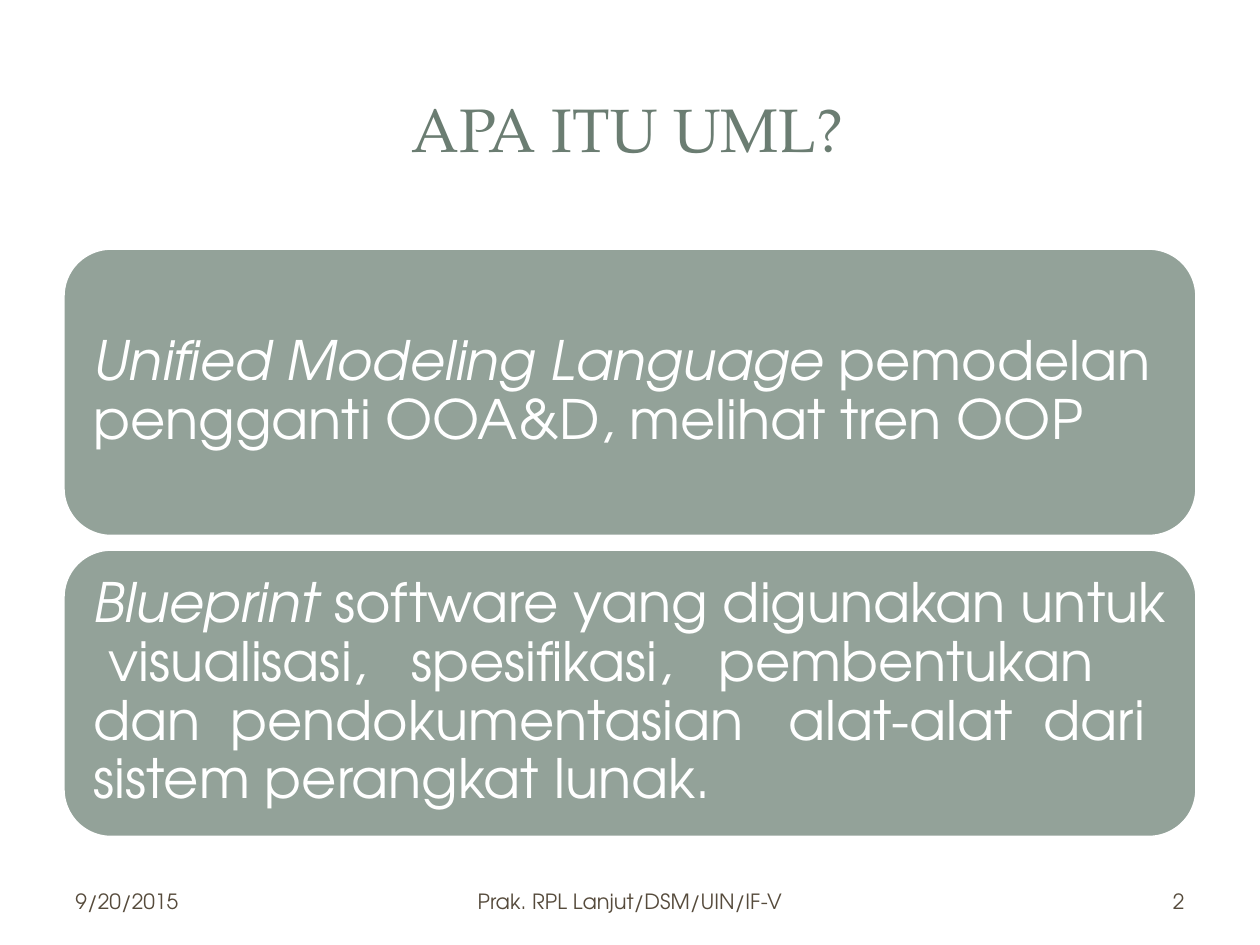
"""Build the slide that explains what UML is."""
from pptx import Presentation
from pptx.dml.color import RGBColor
from pptx.enum.shapes import MSO_SHAPE as Shape
from pptx.enum.text import MSO_ANCHOR as Anchor, PP_ALIGN as Align
from pptx.oxml.ns import qn
from pptx.util import Pt
from lxml.etree import SubElement

WHITE = RGBColor(0xFF, 0xFF, 0xFF)
SAGE = RGBColor(0x93, 0xA2, 0x99)
DARK_SAGE = RGBColor(0x6B, 0x7D, 0x72)
BROWN = RGBColor(0x56, 0x4B, 0x3C)
HEADING_FONT = "TeX Gyre Pagella"
BODY_FONT = "TeX Gyre Adventor"

MARGIN = 36
CARD_WIDTH = 648
CARD_HEIGHT = 164.8
CARD_TOP = 141.8
CARD_PITCH = 172
FOOTER_TOP = 500.5
FOOTER_HEIGHT = 28.8

CARDS = [
    ("Unified Modeling Language ",
     "pemodelan pengganti OOA&D, melihat tren OOP", ()),
    ("Blueprint ",
     "software yang digunakan untuk\v"
     "\tvisualisasi,\tspesifikasi,\tpembentukan\v"
     "dan\tpendokumentasian\talat-alat\tdari\v"
     "sistem perangkat lunak.",
     (8.6, 78.3, 181.7, 357, 397, 543)),
]
FOOTERS = [
    ("9/20/2015", MARGIN, 168, Align.LEFT),
    ("Prak. RPL Lanjut/DSM/UIN/IF-V", 246, 228, Align.CENTER),
    ("2", 516, 168, Align.RIGHT),
]


def write_text(shape, text, lead="", size=12, font=BODY_FONT, color=BROWN,
               align=Align.LEFT, spacing=1.0, tabs=()):
    """Fill a shape with one paragraph that may open with an italic lead."""
    frame = shape.text_frame
    frame.word_wrap = True
    frame.vertical_anchor = Anchor.MIDDLE
    paragraph = frame.paragraphs[0]
    paragraph.alignment = align
    paragraph.line_spacing = spacing
    if tabs:
        tab_list = SubElement(paragraph._p.get_or_add_pPr(), qn("a:tabLst"))
        for stop in tabs:
            SubElement(tab_list, qn("a:tab"), pos=str(Pt(stop)), algn="l")
    for part, italic in ((lead, True), (text, False)):
        for index, line in enumerate(part.split("\v")):
            if index:
                paragraph.add_line_break()
            if line:
                run = paragraph.add_run()
                run.text = line
                run.font.name = font
                run.font.size = Pt(size)
                run.font.italic = italic
                run.font.color.rgb = color


def add_label(slide, text, left, top, width, height, **style):
    """Add a text box."""
    box = slide.shapes.add_textbox(Pt(left), Pt(top), Pt(width), Pt(height))
    write_text(box, text, **style)


def add_panel(slide, kind, left, top, width, height, color=WHITE):
    """Add a filled shape without outline or shadow."""
    panel = slide.shapes.add_shape(kind, Pt(left), Pt(top), Pt(width), Pt(height))
    panel.shadow.inherit = False
    panel.fill.solid()
    panel.fill.fore_color.rgb = color
    panel.line.fill.background()
    return panel


def add_frame(slide):
    """Add the white page and the two layers of the title band."""
    page = add_panel(slide, Shape.ROUNDED_RECTANGLE, 7.2, 7.9, 705.6, 524.9)
    page.adjustments[0] = 0.017
    band = add_panel(slide, Shape.RECTANGLE, 21.6, 21.6, 676.8, 104.4)
    color = band.fill._xPr.find(qn("a:solidFill"))[0]
    SubElement(color, qn("a:alpha"), val="83000")
    add_panel(slide, Shape.RECTANGLE, 29.5, 29.5, 660.2, 87.8)


def add_card(slide, lead, text, tabs, top):
    """Add a rounded card with its statement."""
    card = add_panel(slide, Shape.ROUNDED_RECTANGLE, MARGIN, top,
                     CARD_WIDTH, CARD_HEIGHT, color=SAGE)
    card.line.color.rgb = WHITE
    card.line.width = Pt(2)
    frame = card.text_frame
    frame.margin_left = Pt(9.4)
    frame.margin_right = frame.margin_top = frame.margin_bottom = Pt(9)
    write_text(card, text, lead=lead, size=31, color=WHITE, spacing=0.9, tabs=tabs)


def main():
    """Create and save the presentation."""
    presentation = Presentation()
    presentation.slide_width = Pt(720)
    presentation.slide_height = Pt(540)
    slide = presentation.slides.add_slide(presentation.slide_layouts[6])
    add_frame(slide)
    add_label(slide, "APA ITU UML?", 33.8, 32.4, 650, 82, size=35,
              font=HEADING_FONT, color=DARK_SAGE, align=Align.CENTER)
    for index, (lead, text, tabs) in enumerate(CARDS):
        add_card(slide, lead, text, tabs, CARD_TOP + index * CARD_PITCH)
    for text, left, width, align in FOOTERS:
        add_label(slide, text, left, FOOTER_TOP, width, FOOTER_HEIGHT, align=align)
    presentation.save("out.pptx")


main()
